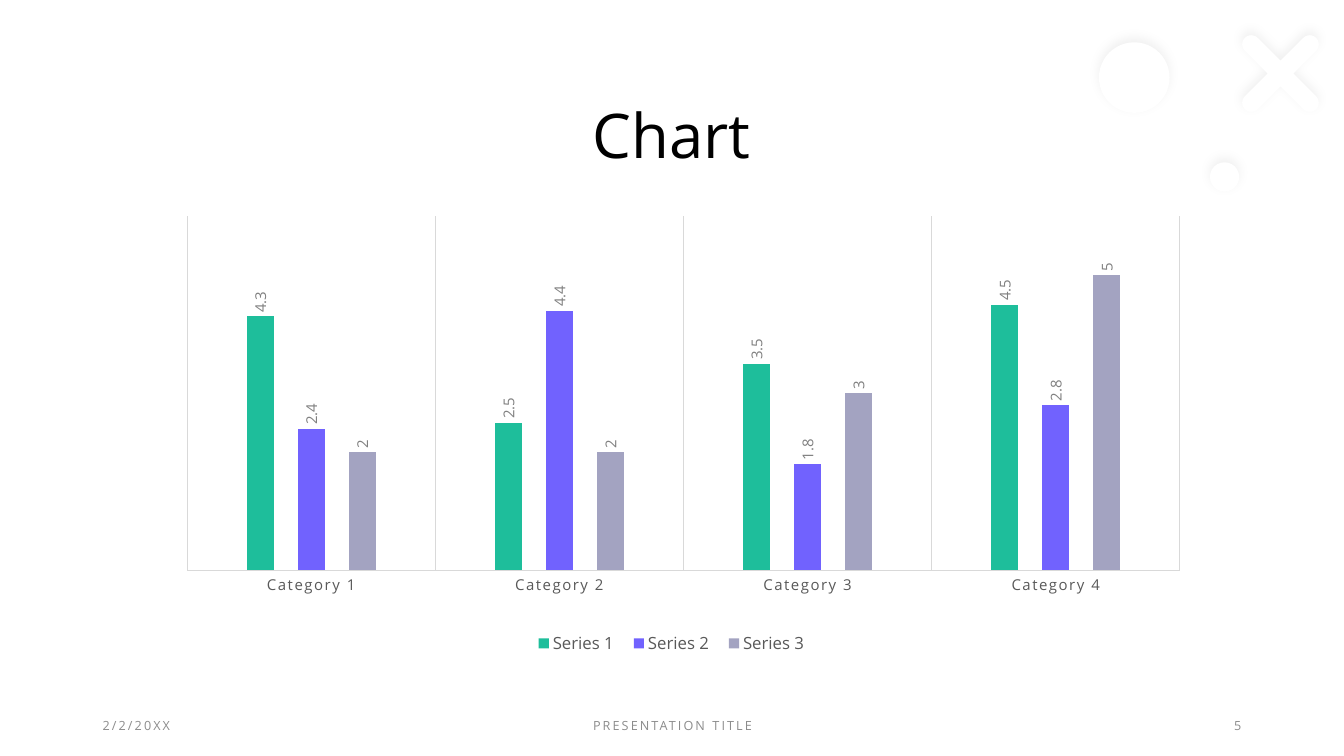
import math

import pptx
import pptx.chart.data
import pptx.dml.color
import pptx.enum.chart
import pptx.enum.shapes
import pptx.enum.text
import pptx.oxml
import pptx.oxml.ns
import pptx.util

PX = 9144  # 100 px to the inch
FONT = "Open Sans"
COLORS = {
    "title": "000000",
    "footer": "8C8C8C",
    "axis_text": "595959",
    "label": "808080",
    "grid": "D9D9D9",
    "ornament": "FFFFFF",
    "shadow": "000000",
    "Series 1": "1EBE9B",
    "Series 2": "7162FE",
    "Series 3": "A3A3C1",
}
ALIGN = pptx.enum.text.PP_ALIGN
rgb = pptx.dml.color.RGBColor.from_string
qn = pptx.oxml.ns.qn


def style_font(font, size, color):
    font.name = FONT
    font.size = pptx.util.Pt(size)
    font.bold = False
    font.color.rgb = rgb(COLORS[color])


def add_text(slide, box, text, size, color, align, spacing=0):
    """Add one middle-anchored line; spacing is in hundredths of a point."""
    shape = slide.shapes.add_textbox(*[length * PX for length in box])
    frame = shape.text_frame
    frame.word_wrap = True
    frame.vertical_anchor = pptx.enum.text.MSO_ANCHOR.MIDDLE
    paragraph = frame.paragraphs[0]
    paragraph.alignment = align
    run = paragraph.add_run()
    run.text = text
    style_font(run.font, size, color)
    if spacing:
        run.font._element.set("spc", str(spacing))
    return paragraph


presentation = pptx.Presentation()
presentation.slide_width = 1333 * PX
presentation.slide_height = 750 * PX
slide = presentation.slides.add_slide(presentation.slide_layouts[6])

# White corner ornaments with a faint shadow: a round-ended cross and two dots
center_x, center_y, reach, half_width = 1270, 73, 50, 9
outline = []
for arm in range(4):
    direction = math.radians(90 * arm)
    cosine, sine = math.cos(direction), math.sin(direction)
    tip = [
        (reach - half_width + half_width * math.cos(math.radians(angle)),
         half_width * math.sin(math.radians(angle)))
        for angle in range(-90, 91, 15)
    ]
    for along, across in [(half_width, -half_width)] + tip:
        outline.append((round((center_x + along * cosine - across * sine) * PX),
                        round((center_y + along * sine + across * cosine) * PX)))
builder = slide.shapes.build_freeform(*outline[0])
builder.add_line_segments(outline[1:], close=True)
cross = builder.convert_to_shape()
cross.rotation = 45
ornaments = [cross]
for left, top, size in [(1200, 161, 29), (1090, 42, 70)]:
    ornaments.append(slide.shapes.add_shape(
        pptx.enum.shapes.MSO_SHAPE.OVAL, left * PX, top * PX, size * PX, size * PX))
for shape in ornaments:
    shape.fill.solid()
    shape.fill.fore_color.rgb = rgb(COLORS["ornament"])
    shape.line.fill.background()
    shape.shadow.inherit = False
    shape._element.spPr.find(qn("a:effectLst")).append(pptx.oxml.parse_xml(
        f'<a:outerShdw {pptx.oxml.ns.nsdecls("a")} blurRad="{pptx.util.Pt(8)}" '
        f'dist="{pptx.util.Pt(3)}" dir="16200000" rotWithShape="0">'
        f'<a:srgbClr val="{COLORS["shadow"]}"><a:alpha val="5000"/></a:srgbClr></a:outerShdw>'
    ))

# Title and footer
title = add_text(slide, (90, 61, 1152, 152), "Chart", 44, "title", ALIGN.CENTER)
title.line_spacing = 0.9
for left, width, text, align in [
    (92, 300, "2/2/20XX", ALIGN.LEFT),
    (442, 450, "PRESENTATION TITLE", ALIGN.CENTER),
    (941, 300, "5", ALIGN.RIGHT),
]:
    add_text(slide, (left, 700, width, 40), text, 9, "footer", align, 150)

# Chart
data = pptx.chart.data.CategoryChartData()
data.categories = ["Category 1", "Category 2", "Category 3", "Category 4"]
data.add_series("Series 1", (4.3, 2.5, 3.5, 4.5))
data.add_series("Series 2", (2.4, 4.4, 1.8, 2.8))
data.add_series("Series 3", (2, 2, 3, 5))
chart = slide.shapes.add_chart(
    pptx.enum.chart.XL_CHART_TYPE.COLUMN_CLUSTERED,
    145 * PX, 213 * PX, 1042 * PX, 443 * PX, data,
).chart
chart.has_title = False
style_font(chart.font, 10, "title")

chart.has_legend = True
chart.legend.position = pptx.enum.chart.XL_LEGEND_POSITION.TOP
chart.legend.include_in_layout = False
style_font(chart.legend.font, 12, "axis_text")

# Bars with upright value labels
plot = chart.plots[0]
plot.vary_by_categories = False
plot.gap_width = 444
plot.overlap = -90
for series in plot.series:
    series.format.fill.solid()
    series.format.fill.fore_color.rgb = rgb(COLORS[series.name])
    labels = series.data_labels
    labels.show_value = True
    labels.position = pptx.enum.chart.XL_LABEL_POSITION.OUTSIDE_END
    style_font(labels.font, 10.64, "label")
    body = labels._element.find(".//" + qn("a:bodyPr"))
    body.set("rot", "-5400000")
    body.set("vert", "horz")

# Axes
value_axis = chart.value_axis
value_axis.minimum_scale = 0
value_axis.maximum_scale = 6
value_axis.has_major_gridlines = False
value_axis.visible = False

category_axis = chart.category_axis
category_axis.major_tick_mark = pptx.enum.chart.XL_TICK_MARK.NONE
category_axis.minor_tick_mark = pptx.enum.chart.XL_TICK_MARK.NONE
category_axis.has_major_gridlines = True
for line in (category_axis.format.line, category_axis.major_gridlines.format.line):
    line.width = pptx.util.Pt(0.75)
    line.color.rgb = rgb(COLORS["grid"])
category_font = category_axis.tick_labels.font
style_font(category_font, 10.64, "axis_text")
category_font._element.set("spc", "120")
category_font._element.set("kern", "1200")

# Fixed plot area and legend, as fractions of the chart
chart_element = chart._chartSpace.chart
for element, index, target, box in [
    (chart_element.plotArea, 0, '<c:layoutTarget val="inner"/>', (0.039, 0.003, 0.945, 0.794)),
    (chart_element.find(qn("c:legend")), 1, "", (0.36, 0.925, 0.28, 0.07)),
]:
    for layout in element.findall(qn("c:layout")):
        element.remove(layout)
    sides = "".join(f'<c:{side} val="{value}"/>' for side, value in zip("xywh", box))
    element.insert(index, pptx.oxml.parse_xml(
        f'<c:layout {pptx.oxml.ns.nsdecls("c")}><c:manualLayout>{target}'
        f'<c:xMode val="edge"/><c:yMode val="edge"/>{sides}</c:manualLayout></c:layout>'
    ))

presentation.save("out.pptx")
